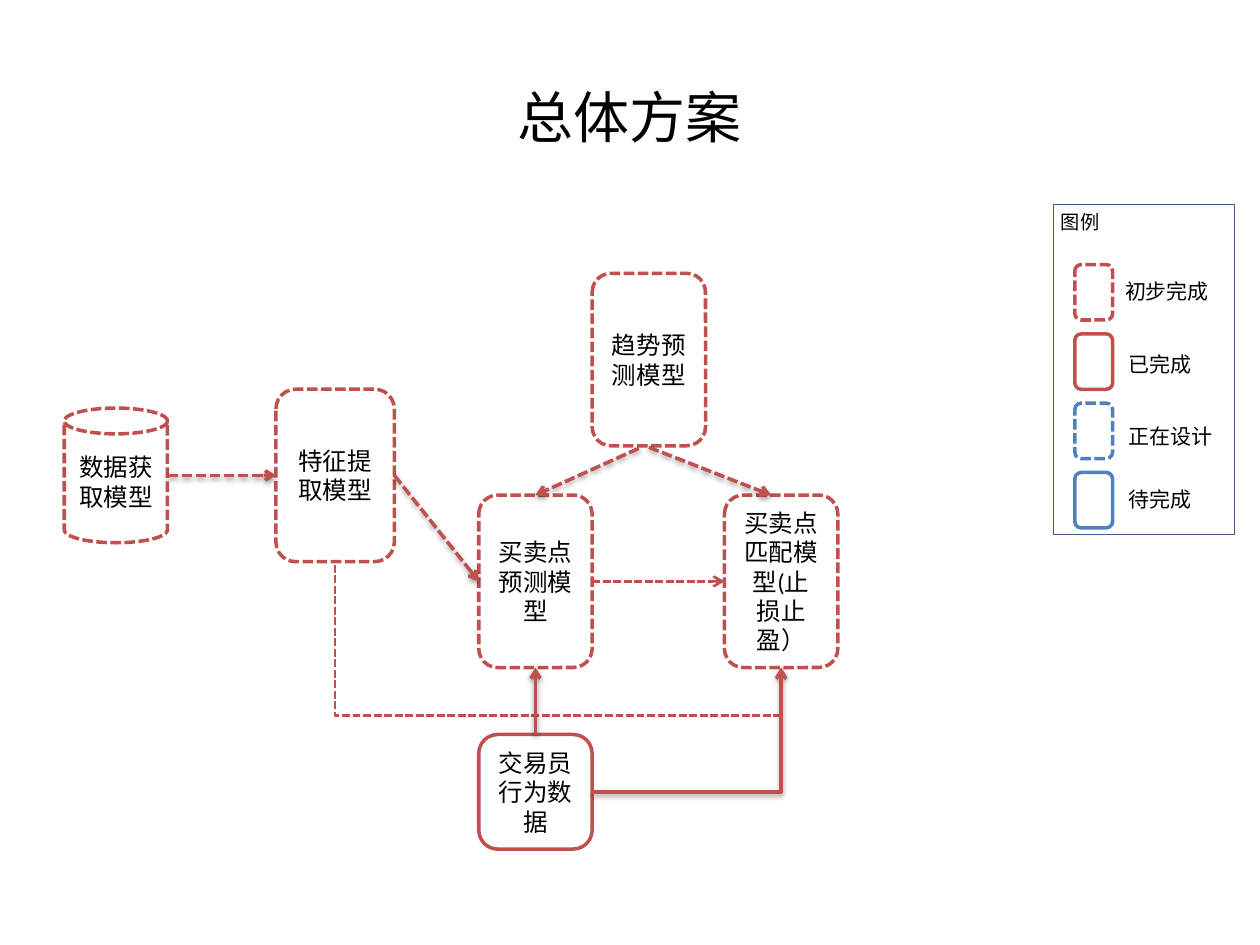
from lxml import etree
from pptx import Presentation
from pptx.dml.color import RGBColor
from pptx.enum.dml import MSO_LINE
from pptx.enum.shapes import MSO_CONNECTOR, MSO_SHAPE
from pptx.enum.text import MSO_ANCHOR, PP_ALIGN
from pptx.oxml.ns import qn
from pptx.util import Pt

RECT, ROUND, CAN = MSO_SHAPE.RECTANGLE, MSO_SHAPE.ROUNDED_RECTANGLE, MSO_SHAPE.CAN
STRAIGHT, ELBOW = MSO_CONNECTOR.STRAIGHT, MSO_CONNECTOR.ELBOW
DASH = MSO_LINE.SQUARE_DOT
MIDDLE, TOP = MSO_ANCHOR.MIDDLE, MSO_ANCHOR.TOP
CENTER, LEFT = PP_ALIGN.CENTER, PP_ALIGN.LEFT
S_TOP, S_LEFT, S_BOTTOM, S_RIGHT = range(4)
FONT = "Calibri"
RED, BLUE, NAVY, ARROW_BLUE = "C0504D", "4F81BD", "3A5F8C", "4B7EBC"
WHITE, BLACK = "FFFFFF", "000000"


def rgb(value):
    """Return the colour for a hex string."""
    return RGBColor.from_string(value)


def write(sp, text, size, align=LEFT, anchor=TOP, wrap=True):
    """Put one formatted paragraph into a shape."""
    tf = sp.text_frame
    tf.text = text
    tf.word_wrap = wrap
    tf.vertical_anchor = anchor
    p = tf.paragraphs[0]
    p.alignment = align
    r = p.runs[0]
    r.font.size = Pt(size)
    r.font.name = FONT
    r.font.color.rgb = rgb(BLACK)


def add_label(s, box, text, size, **layout):
    """Add a text box."""
    sp = s.shapes.add_textbox(*map(Pt, box))
    write(sp, text, size, **layout)


def set_line(line, color, width, dashed):
    """Style an outline or a connector line."""
    line.color.rgb = rgb(color)
    line.width = Pt(width)
    if dashed:
        line.dash_style = DASH


def add_box(s, kind, box, color=RED, width=2, dashed=True, fill=WHITE):
    """Add an outlined shape, unfilled when fill is None."""
    sp = s.shapes.add_shape(kind, *map(Pt, box))
    sp.shadow.inherit = False
    if fill:
        sp.fill.solid()
        sp.fill.fore_color.rgb = rgb(fill)
    else:
        sp.fill.background()
    set_line(sp.line, color, width, dashed)
    return sp


def add_link(s, start, end, color=RED, width=2, dashed=True,
             elbow=False, arrow=True, shadow=True):
    """Connect two ends, each a point or a (shape, side) pair."""
    cxn = s.shapes.add_connector(ELBOW if elbow else STRAIGHT, 0, 0, 0, 0)
    if isinstance(start[0], (int, float)):
        cxn.begin_x, cxn.begin_y = map(Pt, start)
    else:
        cxn.begin_connect(*start)
    if isinstance(end[0], (int, float)):
        cxn.end_x, cxn.end_y = map(Pt, end)
    else:
        cxn.end_connect(*end)
    set_line(cxn.line, color, width, dashed)
    props = cxn._element.spPr
    if elbow:
        props.find(qn("a:prstGeom")).set("prst", "bentConnector2")
    if arrow:
        etree.SubElement(props.find(qn("a:ln")), qn("a:tailEnd"), type="arrow")
    effects = etree.SubElement(props, qn("a:effectLst"))
    if shadow:
        outer = etree.SubElement(effects, qn("a:outerShdw"), blurRad="40000",
                                 dist="20000", dir="5400000", rotWithShape="0")
        shade = etree.SubElement(outer, qn("a:srgbClr"), val=BLACK)
        etree.SubElement(shade, qn("a:alpha"), val="38000")


def draw_title(s, x, y, w, h):
    """Draw the centred slide title."""
    add_label(s, (x, y, w, h), "总体方案", 32, align=CENTER, anchor=MIDDLE)


def draw_legend(s, x, y, w, h):
    """Draw the framed legend of line styles."""
    entries = [
        ("初步完成", RED, True, 33.8, 38.9),
        ("已完成", RED, False, 36, 80.6),
        ("正在设计", BLUE, True, 36, 121.7),
        ("待完成", BLUE, False, 36, 157.7),
    ]
    for i, (text, color, dashed, dx, dy) in enumerate(entries):
        swatch = (x + 12.2, y + 34.6 + i * 39.6, 21.6, 31.7)
        add_box(s, ROUND, swatch, color, dashed=dashed)
        add_label(s, (x + dx, y + dy, 67.7, 21.6), text, 12)
    add_box(s, RECT, (x, y, w, h), NAVY, 0.5, False, None)
    add_label(s, (x - 2.9, y, 36.7, 20.9), "图例", 11, wrap=False)


def draw_flow(s, x, y):
    """Draw the models and the links between them."""
    def node(text, dx, dy, w=64.8, h=98.6, kind=ROUND, dashed=True):
        """Add one labelled model."""
        sp = add_box(s, kind, (x + dx, y + dy, w, h), dashed=dashed)
        write(sp, text, 14, CENTER, MIDDLE)
        return sp

    node("数据获取模型", 0, 77, 59, 77, CAN)
    feature = node("特征提取模型", 121, 66.2, w=67.7)
    trend_x, predict_x, match_x, low_y = 301.7, 236.9, 377.3, 126.7
    node("趋势预测模型", trend_x, 0)
    predict = node("买卖点预测模型", predict_x, low_y)
    match = node("买卖点匹配模型(止损止盈）", match_x, low_y)
    trader = node("交易员行为数据", predict_x, 263.5, h=65.5, dashed=False)

    trend_mid, match_mid = x + trend_x + 32.4, x + match_x + 32.4
    junction = (match_mid, y + 252.7)
    add_link(s, (x + 59, y + 115.5), (feature, S_LEFT))
    add_link(s, (feature, S_RIGHT), (predict, S_LEFT))
    add_link(s, junction, (x + 154.85, y + 164.8), width=1.5,
             elbow=True, arrow=False, shadow=False)
    add_link(s, junction, (match, S_BOTTOM), ARROW_BLUE, 1.5, False, shadow=False)
    add_link(s, (predict, S_RIGHT), (match, S_LEFT), width=1.5, shadow=False)
    add_link(s, (trend_mid - 5.8, y + 100), (predict, S_TOP))
    add_link(s, (trend_mid, y + 99.4), (match_mid - 5.8, y + low_y))
    add_link(s, (trader, S_TOP), (predict, S_BOTTOM), dashed=False)
    add_link(s, (x + predict_x + 64.8, y + 296.3), (match_mid, y + 225.3),
             dashed=False, elbow=True)


def main():
    """Build and save the slide."""
    prs = Presentation()
    prs.slide_width, prs.slide_height = Pt(720), Pt(540)
    s = prs.slides.add_slide(prs.slide_layouts[6])
    draw_title(s, 36, 21.6, 648, 90)
    draw_legend(s, 602, 116.6, 103.7, 188.6)
    draw_flow(s, 36.7, 156.2)
    prs.save("out.pptx")


if __name__ == "__main__":
    main()
